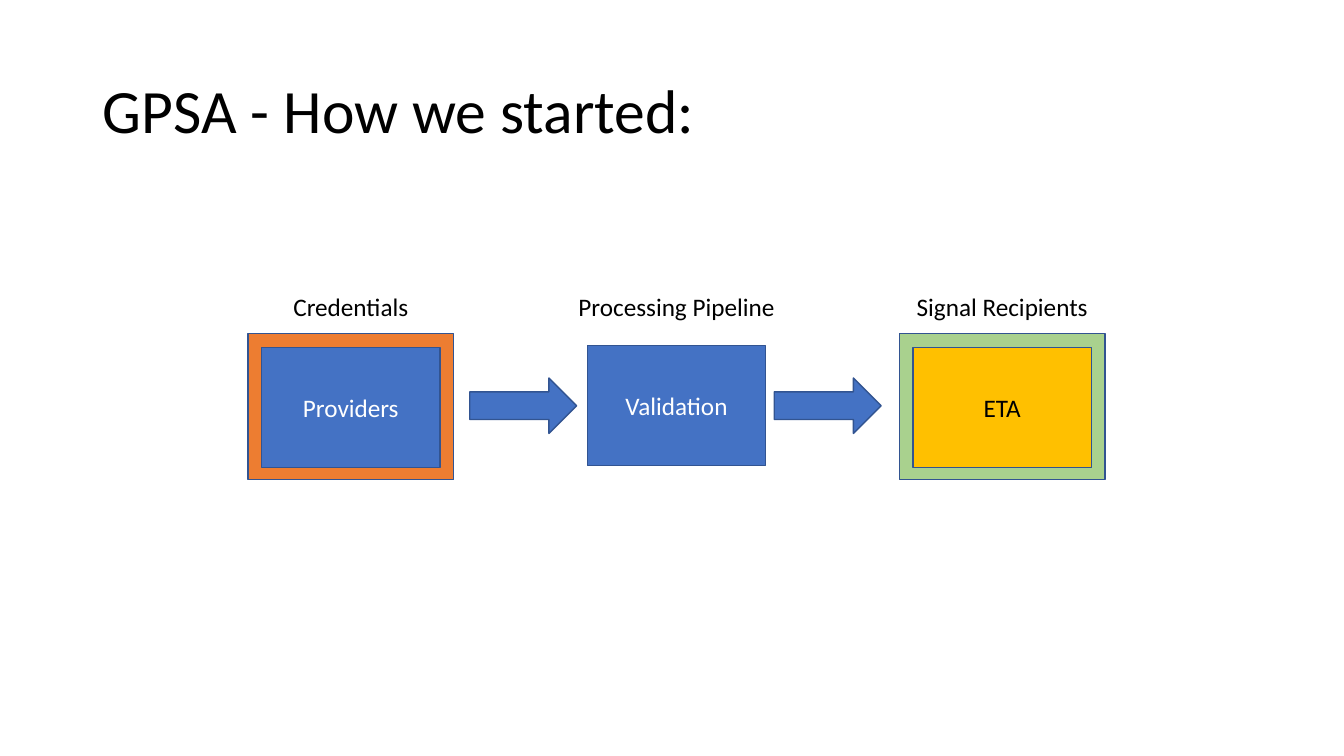
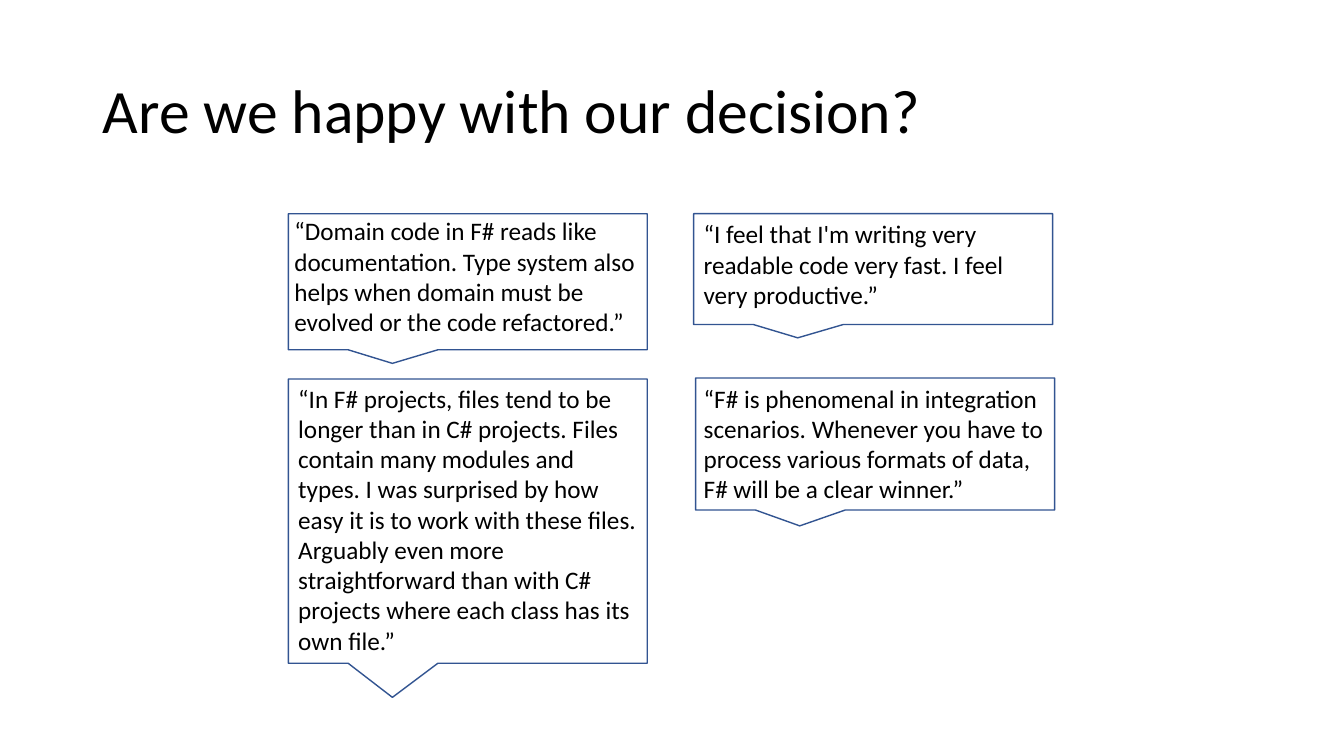
from pptx import Presentation
from pptx.dml.color import RGBColor
from pptx.enum.shapes import MSO_SHAPE
from pptx.enum.text import MSO_ANCHOR, MSO_AUTO_SIZE, PP_ALIGN
from pptx.util import Inches, Pt

RECTANGLE = MSO_SHAPE.RECTANGLE
ARROW = MSO_SHAPE.RIGHT_ARROW
CALLOUT = MSO_SHAPE.RECTANGULAR_CALLOUT
LEFT, CENTER = PP_ALIGN.LEFT, PP_ALIGN.CENTER
TOP, MIDDLE = MSO_ANCHOR.TOP, MSO_ANCHOR.MIDDLE
NO_AUTOSIZE = MSO_AUTO_SIZE.NONE

# Shared look
FONT = "Calibri"
BLACK, WHITE = "000000", "FFFFFF"
BLUE, OUTLINE = "4472C4", "325491"
ORANGE, GREEN, GOLD = "ED7D31", "A9D18E", "FFC000"

# Pipeline slide: label, width, box text, box fill, text colour, frame fill, box top
PIPELINE_TITLE = "GPSA - How we started:"
STAGES = [
    ("Credentials", 1.36, "Providers", BLUE, WHITE, ORANGE, 3.45),
    ("Processing Pipeline", 2.17, "Validation", BLUE, WHITE, None, 3.43),
    ("Signal Recipients", 1.92, "ETA", GOLD, BLACK, GREEN, 3.45),
]
FIRST_CENTER, STAGE_PITCH = 3.48, 3.23
BOX_WIDTH, BOX_HEIGHT = 1.77, 1.19
FRAME_WIDTH, FRAME_HEIGHT, FRAME_TOP = 2.04, 1.45, 3.31
LABEL_TOP, LABEL_HEIGHT = 2.84, 0.4
ARROW_LEFT, ARROW_PITCH = 4.66, 3.02
ARROW_TOP, ARROW_WIDTH, ARROW_HEIGHT = 3.75, 1.06, 0.55

# Quotes slide: text, (left, top, height), (left, top, right) margins, tail depth
QUOTES_TITLE = "Are we happy with our decision?"
QUOTE_WIDTH = 3.56
QUOTES = [
    ("“Domain code in F# reads like documentation. Type system also helps when "
     "domain must be evolved or the code refactored.”",
     (2.86, 2.12, 1.35), (0.06, 0.02, 0.07), 0.6),
    ("“I feel that I'm writing very readable code very fast. I feel very productive.”",
     (6.88, 2.12, 1.1), (0.1, 0.05, 0.1), 0.62),
    ("“In F# projects, files tend to be longer than in C# projects. Files contain "
     "many modules and types. I was surprised by how easy it is to work with these "
     "files. Arguably even more straightforward than with C# projects where each "
     "class has its own file.”",
     (2.86, 3.76, 2.82), (0.1, 0.04, 0.1), 0.62),
    ("“F# is phenomenal in integration scenarios. Whenever you have to process "
     "various formats of data, F# will be a clear winner.”",
     (6.9, 3.75, 1.31), (0.08, 0.05, 0.1), 0.62),
]
TAIL_OFFSET = -0.21


def color(value):
    return RGBColor.from_string(value)


def write(shape, text, text_color=BLACK, size=18, align=LEFT, anchor=TOP, wrap=True):
    frame = shape.text_frame
    frame.text = text
    frame.word_wrap = wrap
    frame.auto_size = NO_AUTOSIZE
    frame.vertical_anchor = anchor
    paragraph = frame.paragraphs[0]
    paragraph.alignment = align
    paragraph.font.name = FONT
    paragraph.font.size = Pt(size)
    paragraph.font.color.rgb = color(text_color)
    return paragraph


def add_titled_slide(presentation, title):
    slide = presentation.slides.add_slide(presentation.slide_layouts[5])
    shape = slide.shapes.title
    shape.left, shape.top = Inches(0.92), Inches(0.4)
    shape.width, shape.height = Inches(11.5), Inches(1.45)
    write(shape, title, size=44, anchor=MIDDLE).line_spacing = 0.9
    return slide


def add_outlined(shapes, kind, left, top, width, height, fill=None):
    shape = shapes.add_shape(kind, Inches(left), Inches(top), Inches(width), Inches(height))
    shape.shadow.inherit = False
    if fill:
        shape.fill.solid()
        shape.fill.fore_color.rgb = color(fill)
    else:
        shape.fill.background()
    shape.line.color.rgb = color(OUTLINE)
    shape.line.width = Pt(1)
    return shape


def build_pipeline(presentation):
    slide = add_titled_slide(presentation, PIPELINE_TITLE)

    # Stages: label above, box, optional frame grouped with the box
    for index, (label, label_width, text, fill, text_color, frame_fill, box_top) in enumerate(STAGES):
        center = FIRST_CENTER + index * STAGE_PITCH
        shapes = slide.shapes
        if frame_fill:
            shapes = slide.shapes.add_group_shape().shapes
            add_outlined(shapes, RECTANGLE, center - FRAME_WIDTH / 2, FRAME_TOP,
                         FRAME_WIDTH, FRAME_HEIGHT, frame_fill)
        box = add_outlined(shapes, RECTANGLE, center - BOX_WIDTH / 2, box_top,
                           BOX_WIDTH, BOX_HEIGHT, fill)
        write(box, text, text_color, align=CENTER, anchor=MIDDLE)
        label_box = slide.shapes.add_textbox(
            Inches(center - label_width / 2), Inches(LABEL_TOP),
            Inches(label_width), Inches(LABEL_HEIGHT))
        write(label_box, label, align=CENTER, wrap=False)

    # Arrows between stages
    for index in range(len(STAGES) - 1):
        add_outlined(slide.shapes, ARROW, ARROW_LEFT + index * ARROW_PITCH, ARROW_TOP,
                     ARROW_WIDTH, ARROW_HEIGHT, BLUE)


def build_quotes(presentation):
    slide = add_titled_slide(presentation, QUOTES_TITLE)
    for text, (left, top, height), margins, tail_depth in QUOTES:
        callout = add_outlined(slide.shapes, CALLOUT, left, top, QUOTE_WIDTH, height)
        callout.adjustments[0] = TAIL_OFFSET
        callout.adjustments[1] = tail_depth
        write(callout, text)
        frame = callout.text_frame
        frame.margin_left, frame.margin_top, frame.margin_right = map(Inches, margins)
        frame.margin_bottom = 0


def main():
    presentation = Presentation()
    presentation.slide_width, presentation.slide_height = Inches(13.33), Inches(7.5)
    build_pipeline(presentation)
    build_quotes(presentation)
    presentation.save("out.pptx")


if __name__ == "__main__":
    main()
